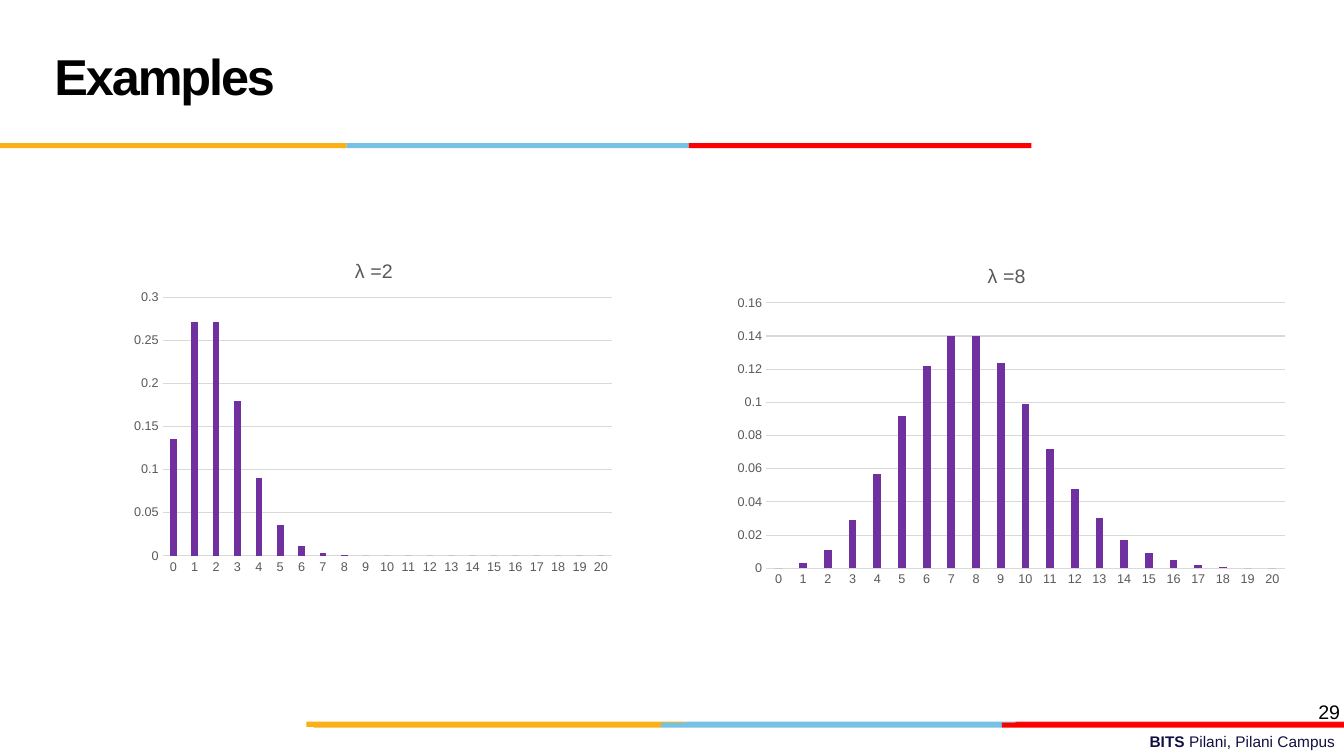
from math import exp, factorial

from lxml.etree import SubElement
from pptx import Presentation
from pptx.chart.data import CategoryChartData
from pptx.dml.color import RGBColor
from pptx.enum.chart import XL_CHART_TYPE, XL_TICK_MARK
from pptx.enum.shapes import MSO_SHAPE
from pptx.enum.text import MSO_ANCHOR, PP_ALIGN
from pptx.oxml.ns import qn
from pptx.util import Inches, Pt

YELLOW, BLUE, RED, DARK_RED = "FCB017", "76C2E5", "FF0000", "E31C24"
BLACK, NAVY, GREY, LIGHT_GREY, PURPLE = "000000", "101141", "595959", "D9D9D9", "7030A0"
STRIPE_HEIGHT = 0.67


def colour(hex_string):
    return RGBColor.from_string(hex_string)


def poisson(rate, count):
    return round(exp(-rate) * rate ** count / factorial(count), 3)


def set_font(font, size, hex_string, bold=False):
    font.name = "Arial"
    font.size = Pt(size)
    font.bold = bold
    font.color.rgb = colour(hex_string)


def place_manually(parent, successors, inner=False, **shares):
    """Fix a chart part at shares (x, y, w, h) of the chart's size."""
    for old_layout in parent.findall(qn("c:layout")):
        parent.remove(old_layout)
    layout = SubElement(parent, qn("c:layout"))
    manual = SubElement(layout, qn("c:manualLayout"))
    if inner:
        SubElement(manual, qn("c:layoutTarget"), val="inner")
    for side in "xy":
        SubElement(manual, qn(f"c:{side}Mode"), val="edge")
    for side, share in shares.items():
        SubElement(manual, qn(f"c:{side}"), val=str(share))
    follower = next((child for child in parent if child.tag in map(qn, successors)), None)
    if follower is not None:
        follower.addprevious(layout)


class Page:
    """One slide; places are left, top, width, height in percent of its size."""

    def __init__(self, deck):
        self.deck = deck
        self.slide = deck.slides.add_slide(deck.slide_layouts[5])

    def area(self, left, top, width, height):
        across, down = self.deck.slide_width / 100, self.deck.slide_height / 100
        return [round(length) for length in
                (left * across, top * down, width * across, height * down)]

    def title(self, text, place):
        box = self.slide.shapes.title
        box.left, box.top, box.width, box.height = self.area(*place)
        box.text_frame.text = text
        box.text_frame.vertical_anchor = MSO_ANCHOR.MIDDLE
        para = box.text_frame.paragraphs[0]
        para.alignment = PP_ALIGN.LEFT
        para.line_spacing = Pt(36)
        set_font(para.font, 36, BLACK, bold=True)
        para.runs[0].font._element.set("spc", "-150")

    def right_text(self, spans, place, size, hex_string):
        """Add right-aligned text from (words, bold) spans."""
        box = self.slide.shapes.add_textbox(*self.area(*place))
        box.text_frame.word_wrap = True
        para = box.text_frame.paragraphs[0]
        para.alignment = PP_ALIGN.RIGHT
        set_font(para.font, size, hex_string)
        for words, bold in spans:
            span = para.add_run()
            span.text = words
            span.font.bold = bold

    def stripe(self, edges, top, fills):
        """Draw adjoining bars between consecutive edges."""
        for left, right, fill in zip(edges, edges[1:], fills):
            bar = self.slide.shapes.add_shape(
                MSO_SHAPE.RECTANGLE, *self.area(left, top, right - left, STRIPE_HEIGHT))
            bar.shadow.inherit = False
            bar.fill.solid()
            bar.fill.fore_color.rgb = colour(fill)
            bar.line.fill.background()

    def poisson_chart(self, rate, place, maximum, step):
        counts = range(21)
        data = CategoryChartData()
        data.categories = [str(count) for count in counts]
        data.add_series("Series 1", [poisson(rate, count) for count in counts])
        chart = self.slide.shapes.add_chart(
            XL_CHART_TYPE.COLUMN_CLUSTERED, *self.area(*place), data).chart
        set_font(chart.font, 10, BLACK)
        chart.has_legend = False

        chart.has_title = True
        heading = chart.chart_title
        heading.text_frame.text = f"λ ={rate}"
        set_font(heading.text_frame.paragraphs[0].font, 14, GREY)
        heading.include_in_layout = False
        place_manually(heading._element, ["c:overlay"], x=0.455, y=0.045)

        plot = chart.plots[0]
        plot.gap_width, plot.overlap = 219, -27
        plot.vary_by_categories = False
        fill = plot.series[0].format.fill
        fill.solid()
        fill.fore_color.rgb = colour(PURPLE)
        place_manually(plot._element.getparent(), ["c:barChart"], inner=True,
                       x=0.074, y=0.168, w=0.907, h=0.757)

        for axis in (chart.category_axis, chart.value_axis):
            axis.major_tick_mark = axis.minor_tick_mark = XL_TICK_MARK.NONE
            set_font(axis.tick_labels.font, 9, GREY)
        values = chart.value_axis
        values.minimum_scale, values.maximum_scale, values.major_unit = 0, maximum, step
        values.format.line.fill.background()
        for line in (chart.category_axis.format.line, values.major_gridlines.format.line):
            line.color.rgb = colour(LIGHT_GREY)
            line.width = Pt(0.75)


def main():
    deck = Presentation()
    deck.slide_width, deck.slide_height = Inches(13.33), Inches(7.5)
    page = Page(deck)
    page.right_text([("BITS ", True), ("Pilani, Pilani Campus", False)],
                    (35.86, 96.13, 64.22, 3.87), 11, NAVY)
    page.stripe([22.8, 51, 75.55, 100], 95.47, [YELLOW, BLUE, DARK_RED])
    page.stripe([23.33, 49.2, 74.55, 100], 95.6, [YELLOW, BLUE, RED])
    page.stripe([0, 25.8, 51.25, 76.75], 18.93, [YELLOW, BLUE, RED])
    page.title("Examples", (3.3, 2.27, 83.57, 16.67))
    page.right_text([("29", False)], (77.12, 91.87, 23.33, 6.93), 14, BLACK)
    page.poisson_chart(2, (9.38, 31.73, 36.83, 45.2), maximum=0.3, step=0.05)
    page.poisson_chart(8, (53.86, 32.27, 42.54, 46.4), maximum=0.16, step=0.02)
    deck.save("out.pptx")


if __name__ == "__main__":
    main()
